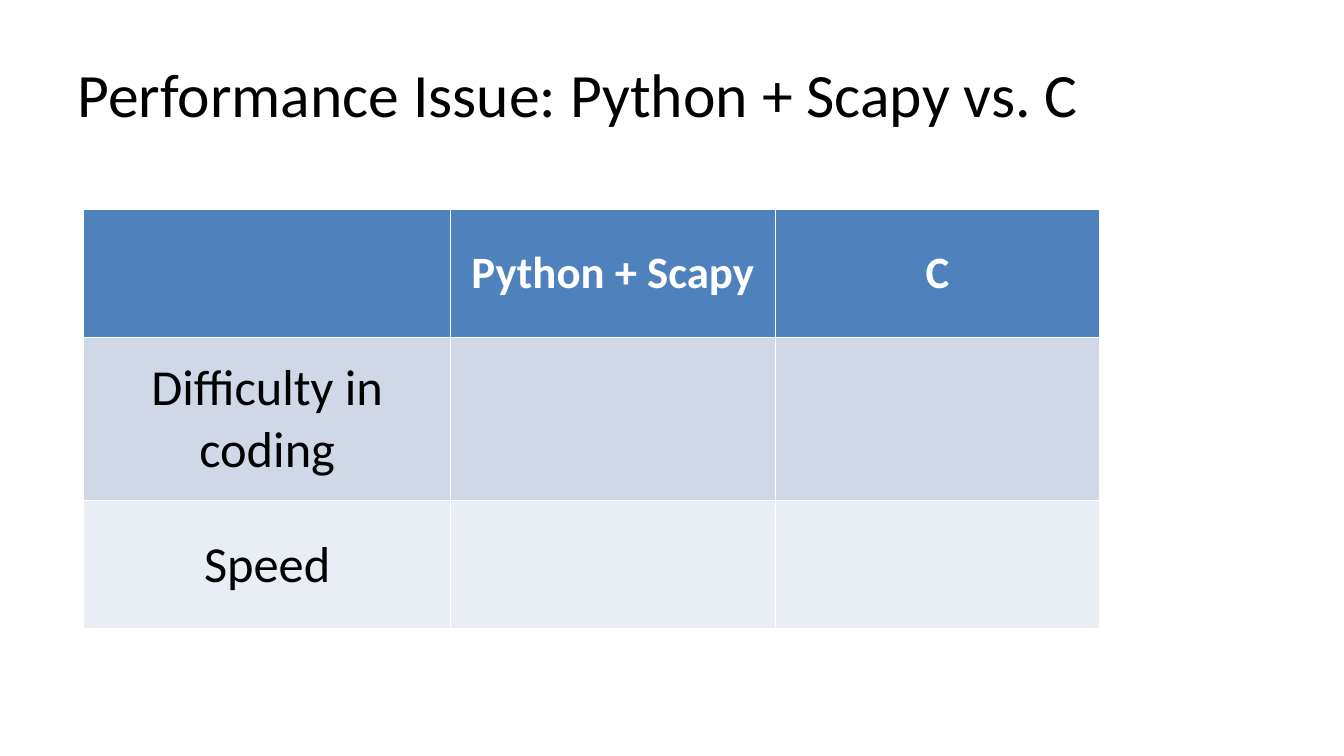
from pptx import Presentation
from pptx.dml.color import RGBColor
from pptx.enum import text
from pptx.util import Inches, Pt


def style(para, size, color, bold=False):
    font = para.font
    font.name, font.size, font.bold = "Calibri", Pt(size), bold
    font.color.rgb = RGBColor.from_string(color)


deck = Presentation()
deck.slide_width, deck.slide_height = Inches(13.33), Inches(7.5)
slide = deck.slides.add_slide(deck.slide_layouts[6])

title = slide.shapes.add_textbox(Inches(0.67), Inches(0.3), Inches(12), Inches(1.25))
frame = title.text_frame
frame.word_wrap = True
frame.vertical_anchor = text.MSO_ANCHOR.MIDDLE
frame.text = "Performance Issue: Python + Scapy vs. C"
style(frame.paragraphs[0], 44, "000000")

# Row height, fill, text size, text color, labels
rows = [
    (1.27, "4F81BD", 32, "FFFFFF", ["", "Python + Scapy", "C"]),
    (1.62, "D0D8E8", 36, "000000", ["Difficulty in coding", "", ""]),
    (1.27, "E9EDF4", 36, "000000", ["Speed", "", ""]),
]
widths = [3.64, 3.22, 3.22]

# The default table style supplies the white grid and thick header rule
table = slide.shapes.add_table(
    len(rows), len(widths), Inches(0.83), Inches(2.08),
    Inches(sum(widths)), Inches(sum(row[0] for row in rows))).table
for col, width in zip(table.columns, widths):
    col.width = Inches(width)

for r, (height, fill, size, color, labels) in enumerate(rows):
    table.rows[r].height = Inches(height)
    for c, label in enumerate(labels):
        cell = table.cell(r, c)
        cell.fill.solid()
        cell.fill.fore_color.rgb = RGBColor.from_string(fill)
        cell.vertical_anchor = text.MSO_ANCHOR.MIDDLE
        cell.text = label
        para = cell.text_frame.paragraphs[0]
        para.alignment = text.PP_ALIGN.CENTER
        style(para, size, color, bold=r == 0)

deck.save("out.pptx")
